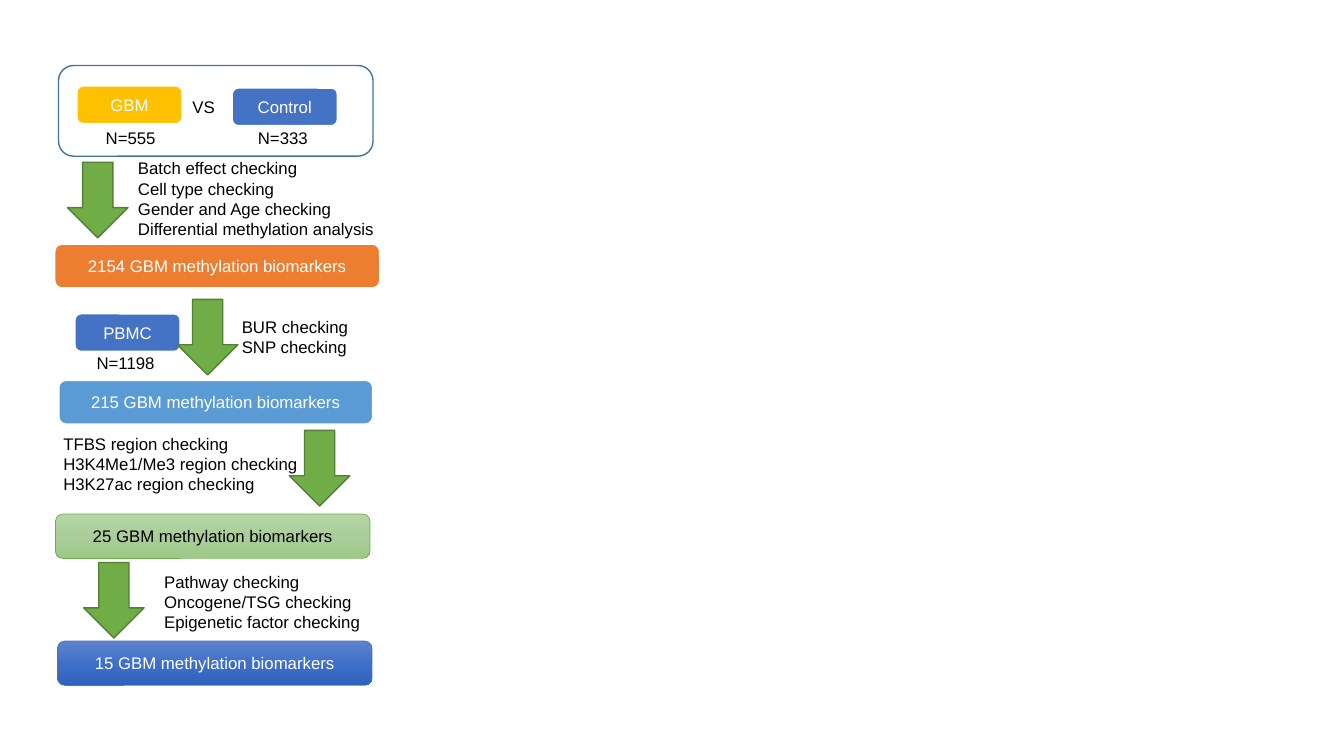
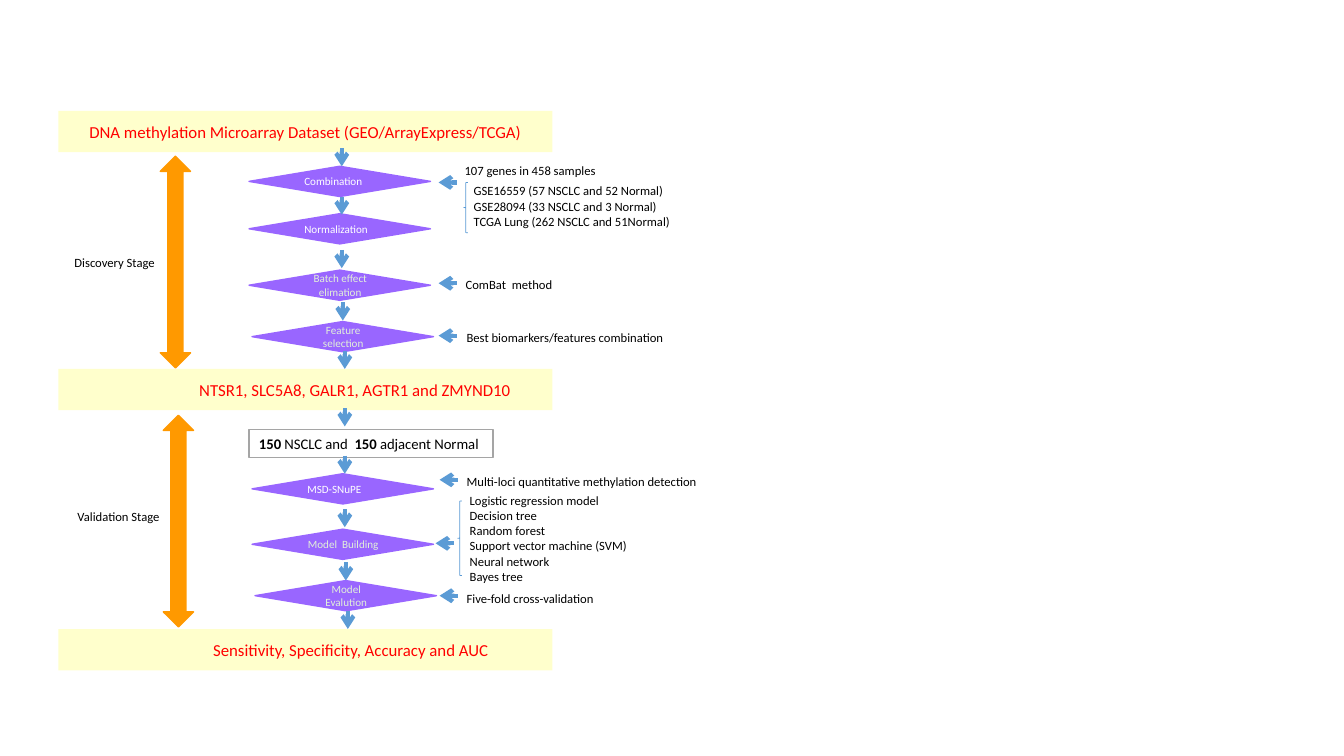
from copy import deepcopy

from pptx import Presentation
from pptx.dml.color import RGBColor
from pptx.enum.shapes import MSO_CONNECTOR as LINE, MSO_SHAPE as SHAPE
from pptx.enum.text import MSO_ANCHOR as ANCHOR, PP_ALIGN as ALIGN
from pptx.oxml.ns import qn
from pptx.util import Inches, Pt

COLORS = {
    "white": "FFFFFF", "black": "000000", "blue": "4472C4", "gold": "FFC000",
    "orange": "ED7D31", "sky": "5B9BD5", "green": "70AD47",
    "frame": "43739E", "dark green": "538035", "cream": "FFFFCC",
    "red": "FF0000", "violet": "9966FF", "amber": "FF9900",
    "pale green": "E2F0D9", "gray": "A5A5A5",
}
GREEN_FADE = ["B5D5A7", "AACE9A", "9CC987"]
BLUE_FADE = ["6183CB", "3E70CA", "3062BB"]
STEP_FONT = {"name": "Arial", "size": Pt(12)}
BAND_FONT = {"name": "Calibri", "size": Pt(12)}
SAMPLE_FONT = {"name": "Calibri", "size": Pt(10.5)}
NOTE_FONT = {"name": "Calibri", "size": Pt(9)}
DIAMOND_FONT = {"name": "Calibri", "size": Pt(7.9)}


def add_block(slide, preset, box, fill=None, line=None, width=1):
    """Add a preset shape; a list of hex strings as fill makes a vertical gradient."""
    block = slide.shapes.add_shape(preset, *map(Inches, box))
    block.shadow.inherit = False
    if isinstance(fill, list):
        block.fill.gradient()
        block.fill.gradient_angle = 270
        stop_list = block._element.spPr.find(".//" + qn("a:gsLst"))
        stop_list.insert(1, deepcopy(stop_list[0]))
        for position, stop, shade in zip((0, 0.5, 1), block.fill.gradient_stops, fill):
            stop.position = position
            stop.color.rgb = RGBColor.from_string(shade)
    elif fill:
        block.fill.solid()
        block.fill.fore_color.rgb = RGBColor.from_string(COLORS[fill])
    else:
        block.fill.background()
    if line:
        block.line.color.rgb = RGBColor.from_string(COLORS[line])
        block.line.width = Pt(width)
    else:
        block.line.fill.background()
    return block


def write(holder, lines, font, color="black", align=ALIGN.LEFT, **frame_format):
    """Fill a shape with paragraphs; within a line, * switches bold on and off."""
    frame = holder.text_frame
    for name, value in {"word_wrap": True, **frame_format}.items():
        setattr(frame, name, value)
    for index, line in enumerate(lines):
        paragraph = frame.paragraphs[0] if index == 0 else frame.add_paragraph()
        paragraph.alignment = align
        for part, words in enumerate(line.split("*")):
            if words:
                run = paragraph.add_run()
                run.text = words
                run.font.color.rgb = RGBColor.from_string(COLORS[color])
                for name, value in {**font, "bold": part % 2 == 1}.items():
                    setattr(run.font, name, value)


prs = Presentation()
prs.slide_width, prs.slide_height = Inches(13.33), Inches(7.5)
blank = prs.slide_layouts[6]

# GBM biomarker funnel
funnel = prs.slides.add_slide(blank)
add_block(funnel, SHAPE.ROUNDED_RECTANGLE, (0.58, 0.65, 3.12, 0.9), line="frame")

for left, top, fill, cohort in [
    (0.76, 0.85, "gold", "GBM"),
    (2.3, 0.87, "blue", "Control"),
    (0.74, 3.11, "blue", "PBMC"),
]:
    tag = add_block(funnel, SHAPE.ROUNDED_RECTANGLE, (left, top, 1.05, 0.38), fill, "white", 1.5)
    write(tag, [cohort], STEP_FONT, "white", ALIGN.CENTER, vertical_anchor=ANCHOR.MIDDLE)

for left, top in [(0.67, 1.61), (1.76, 2.97), (2.87, 4.27), (0.83, 5.58)]:
    add_block(funnel, SHAPE.DOWN_ARROW, (left, top, 0.6, 0.75), "green", "dark green")

for left, top, wide, high, fill, edge, weight, color, count in [
    (0.54, 2.42, 3.23, 0.44, "orange", "white", 1.5, "white", 2154),
    (0.58, 3.77, 3.12, 0.44, "sky", "white", 1.5, "white", 215),
    (0.55, 5.1, 3.12, 0.44, GREEN_FADE, "green", 0.5, "black", 25),
    (0.57, 6.36, 3.12, 0.44, BLUE_FADE, "blue", 0.5, "white", 15),
]:
    result = add_block(funnel, SHAPE.ROUNDED_RECTANGLE, (left, top, wide, high), fill, edge, weight)
    write(result, [f"{count} GBM methylation biomarkers"], STEP_FONT, color, ALIGN.CENTER,
          vertical_anchor=ANCHOR.MIDDLE)

for left, top, wide, checks in [
    (1.81, 0.91, 0.49, ["VS"]),
    (0.95, 1.22, 0.8, ["N=555"]),
    (2.46, 1.22, 0.8, ["N=333"]),
    (0.86, 3.45, 0.81, ["N=1198"]),
    (1.27, 1.52, 2.88, ["Batch effect checking", "Cell type checking",
                        "Gender and Age checking", "Differential methylation analysis"]),
    (2.3, 3.09, 1.4, ["BUR checking", "SNP checking"]),
    (0.53, 4.25, 2.6, ["TFBS region checking", "H3K4Me1/Me3 region checking",
                       "H3K27ac region checking"]),
    (1.53, 5.62, 2.3, ["Pathway checking", "Oncogene/TSG checking",
                       "Epigenetic factor checking"]),
]:
    note = funnel.shapes.add_textbox(*map(Inches, (left, top, wide, 0.1 + 0.2 * len(checks))))
    write(note, checks, STEP_FONT)

# Lung cancer study workflow
workflow = prs.slides.add_slide(blank)

for top, indent, heading in [
    (1.1, 0.1, "DNA methylation Microarray Dataset (GEO/ArrayExpress/TCGA)"),
    (3.66, 1.08, "NTSR1, SLC5A8, GALR1, AGTR1 and ZMYND10"),
    (6.24, 1, "Sensitivity, Specificity, Accuracy and AUC"),
]:
    band = add_block(workflow, SHAPE.RECTANGLE, (0.58, top, 4.9, 0.41), "cream")
    write(band, [heading], BAND_FONT, "red", ALIGN.CENTER,
          vertical_anchor=ANCHOR.MIDDLE, margin_left=Inches(indent))

for left, top in [(1.59, 1.55), (1.62, 4.12)]:
    add_block(workflow, SHAPE.UP_DOWN_ARROW, (left, top, 0.3, 2.1), "amber", "amber")

for left, top, color, align, step in [
    (2.47, 1.65, "white", ALIGN.LEFT, "Combination"),
    (2.47, 2.12, "white", ALIGN.LEFT, "Normalization"),
    (2.47, 2.68, "pale green", ALIGN.CENTER, "Batch effect elimation"),
    (2.5, 3.19, "pale green", ALIGN.CENTER, "Feature selection"),
    (2.5, 4.7, "white", ALIGN.LEFT, "MSD-SNuPE"),
    (2.5, 5.25, "pale green", ALIGN.CENTER, "Model  Building"),
    (2.53, 5.76, "pale green", ALIGN.CENTER, "Model Evalution"),
]:
    diamond = add_block(workflow, SHAPE.FLOWCHART_DECISION, (left, top, 1.8, 0.3),
                        "violet", "violet")
    write(diamond, [step], DIAMOND_FONT, color, align,
          vertical_anchor=ANCHOR.MIDDLE, margin_right=Inches(0.09))

samples = add_block(workflow, SHAPE.RECTANGLE, (2.47, 4.26, 2.42, 0.28), "white", "gray")
write(samples, ["*150* NSCLC and  *150* adjacent Normal"], SAMPLE_FONT,
      vertical_anchor=ANCHOR.MIDDLE)

ARROW_LENGTH = 0.18
down_starts = [(3.39, 1.47), (3.39, 1.95), (3.39, 2.48), (3.4, 3), (3.42, 3.48),
               (3.42, 4.05), (3.42, 4.52), (3.42, 5.05), (3.43, 5.58), (3.45, 6.06)]
left_starts = [(4.53, 1.81), (4.53, 2.81), (4.53, 3.33),
               (4.54, 4.76), (4.5, 5.39), (4.54, 5.91)]
arrows = [(x, y, x, y + ARROW_LENGTH) for x, y in down_starts]
arrows += [(x, y, x - ARROW_LENGTH, y) for x, y in left_starts]
for ends in arrows:
    arrow = workflow.shapes.add_connector(LINE.STRAIGHT, *map(Inches, ends))
    arrow.line.color.rgb = RGBColor.from_string(COLORS["sky"])
    arrow.line.width = Pt(3)
    properties = arrow._element.spPr
    outline = properties.find(qn("a:ln"))
    head = outline.makeelement(qn("a:tailEnd"), {"type": "arrow"})
    outline.append(head)
    properties.append(properties.makeelement(qn("a:effectLst"), {}))

for brace in [(4.6, 1.81, 0.04, 0.5), (4.54, 4.97, 0.04, 0.74)]:
    add_block(workflow, SHAPE.LEFT_BRACE, brace, line="sky", width=0.5)

for left, top, wide, details in [
    (0.64, 2.48, 1.1, ["Discovery Stage"]),
    (0.67, 5, 1.1, ["Validation Stage"]),
    (4.51, 1.57, 1.7, ["107 genes in 458 samples"]),
    (4.6, 1.77, 2.4, ["GSE16559 (57 NSCLC and 52 Normal)", "GSE28094 (33 NSCLC and 3 Normal)",
                      "TCGA Lung (262 NSCLC and 51Normal)"]),
    (4.52, 2.7, 1.4, ["ComBat  method"]),
    (4.53, 3.22, 2.4, ["Best biomarkers/features combination"]),
    (4.53, 4.65, 2.7, ["Multi-loci quantitative methylation detection"]),
    (4.56, 4.84, 1.88, ["Logistic regression model", "Decision tree", "Random forest",
                        "Support vector machine (SVM)", "Neural network", "Bayes tree"]),
    (4.53, 5.81, 1.7, ["Five-fold cross-validation"]),
]:
    note = workflow.shapes.add_textbox(*map(Inches, (left, top, wide, 0.1 + 0.15 * len(details))))
    write(note, details, NOTE_FONT)

prs.save("out.pptx")
